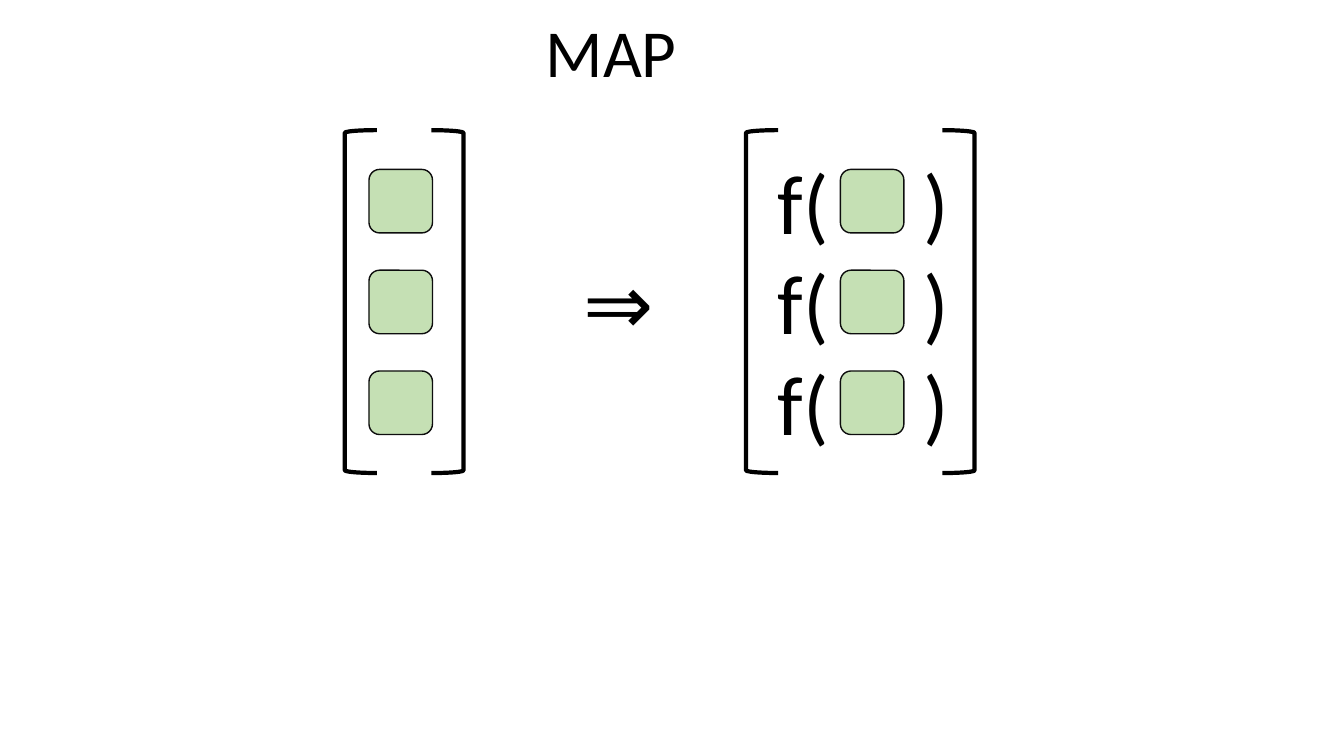
from pptx import Presentation
from pptx.dml.color import RGBColor
from pptx.enum import shapes, text
from pptx.oxml import parse_xml
from pptx.oxml.ns import nsdecls
from pptx.util import Cm, Pt

TITLE = "MAP"
ARROW = "⇒"
CALL = "f(\t)"
ROWS = 3
VECTORS = [
    {"brackets": (8.69, 10.87), "cells": 9.3, "call": None},
    {"brackets": (18.8, 23.75), "cells": 21.18, "call": 18.95},
]
FONT = "Calibri"
BLACK, GREEN, OUTLINE = "000000", "C5E0B4", "0D0D0D"

CELL_TOP, CELL_SIZE, ROW_STEP = 4.27, 1.6, 2.54
TEXT_TOP, TEXT_HEIGHT = 3.66, 2.82
CALL_WIDTH, CALL_INSET, CALL_TAB = 5.61, 0.65, 3.68
BRACKET_TOP, BRACKET_WIDTH, BRACKET_HEIGHT = 3.28, 0.81, 8.64


def color(value):
    return RGBColor.from_string(value)


def place(item, left, top, width, height):
    item.left, item.top, item.width, item.height = map(Cm, (left, top, width, height))


def write(box, words, size=60, align=text.PP_ALIGN.CENTER, inset=0.25, tab=None):
    frame = box.text_frame
    frame.word_wrap = True
    frame.auto_size = text.MSO_AUTO_SIZE.NONE
    frame.vertical_anchor = text.MSO_ANCHOR.TOP
    frame.margin_left = Cm(inset)
    para = frame.paragraphs[0]
    para.alignment = align
    if tab:
        para._p.get_or_add_pPr().append(parse_xml(
            f'<a:tabLst {nsdecls("a")}><a:tab pos="{Cm(tab)}" algn="l"/></a:tabLst>'))
    span = para.add_run()
    span.text = words
    span.font.name = FONT
    span.font.size = Pt(size)
    span.font.color.rgb = color(BLACK)


def add_text(left, top, width, words, **style):
    box = page.shapes.add_textbox(Cm(left), Cm(top), Cm(width), Cm(TEXT_HEIGHT))
    write(box, words, **style)


def add_outline(kind, left, top, width, height, line, weight, fill=None, turn=0):
    shape = page.shapes.add_shape(kind, *map(Cm, (left, top, width, height)))
    shape.shadow.inherit = False
    shape.rotation = turn
    shape.line.color.rgb = color(line)
    shape.line.width = Pt(weight)
    if fill:
        shape.fill.solid()
        shape.fill.fore_color.rgb = color(fill)
    else:
        shape.fill.background()


deck = Presentation()
deck.slide_width, deck.slide_height = Cm(33.87), Cm(19.05)
page = deck.slides.add_slide(deck.slide_layouts[5])

title = page.shapes.title
place(title, 10.34, 0.13, 10.13, 2.31)
write(title, TITLE, size=48)
add_text(13.36, TEXT_TOP + ROW_STEP, 4.47, ARROW)

for vector in VECTORS:
    for row in range(ROWS):
        shift = row * ROW_STEP
        if vector["call"]:
            add_text(vector["call"], TEXT_TOP + shift, CALL_WIDTH, CALL,
                     align=text.PP_ALIGN.LEFT, inset=CALL_INSET, tab=CALL_TAB)
        add_outline(shapes.MSO_SHAPE.ROUNDED_RECTANGLE, vector["cells"], CELL_TOP + shift,
                    CELL_SIZE, CELL_SIZE, OUTLINE, 1, fill=GREEN)
    for left, turn in zip(vector["brackets"], (0, 180)):
        add_outline(shapes.MSO_SHAPE.LEFT_BRACKET, left, BRACKET_TOP,
                    BRACKET_WIDTH, BRACKET_HEIGHT, BLACK, 3, turn=turn)

deck.save("out.pptx")
